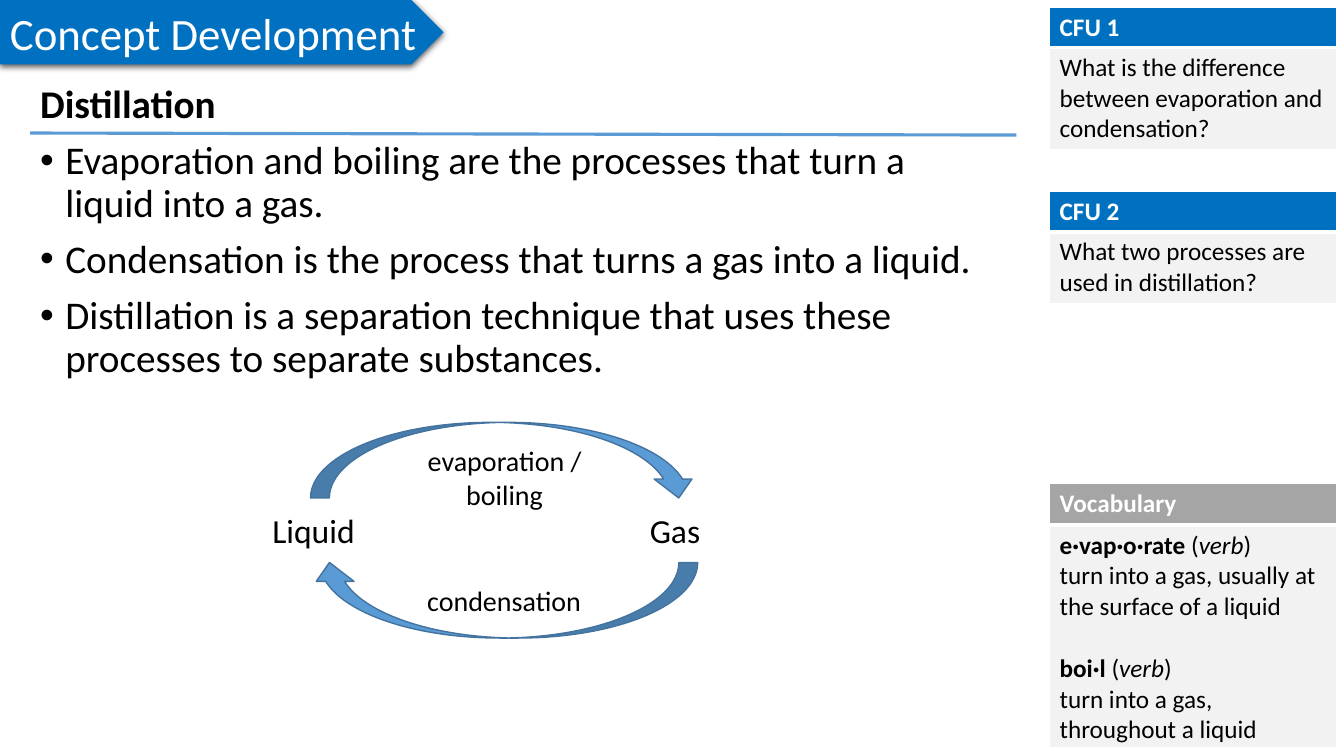
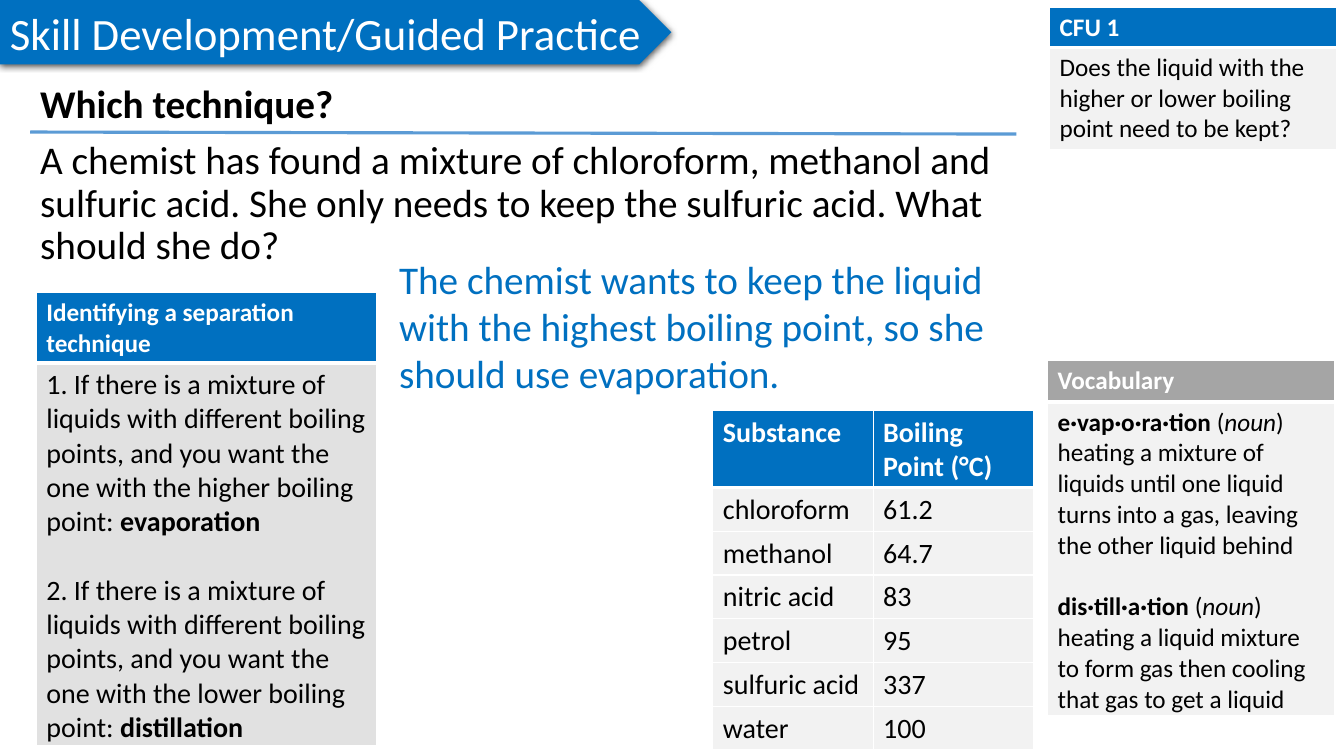
from dataclasses import dataclass, field

from lxml import etree
from pptx import Presentation
from pptx import util as u
from pptx.dml.color import RGBColor
from pptx.enum import shapes, text
from pptx.oxml import ns

PX = 9144  # EMU per px: 100 px make one inch
FONT = "Calibri"
COLORS = {
    "blue": "0070C0", "arrow": "5B9BD5", "outline": "43739E",
    "gray": "A5A5A5", "pale": "F2F2F2", "silver": "E1E1E1",
    "white": "FFFFFF", "black": "000000",
}
SIDE_X, SIDE_W = 1041, 285
CONTENT_X = 30


@dataclass
class Run:
    text: str
    bold: bool = False
    italic: bool = False


@dataclass
class Para:
    runs: list[Run]
    before: float = 0
    bullet: bool = False


@dataclass
class Style:
    size: int
    color: str = "black"
    bold: bool = False
    center: bool = False
    spacing: float | None = None


@dataclass
class Panel:
    """A one-column table: a coloured heading over a box of text."""
    heading: str
    paras: list[Para]
    y: int
    head_h: int
    body_h: int
    x: int = SIDE_X
    w: int = SIDE_W
    size: int = 18
    head_fill: str = "blue"
    body_fill: str = "pale"


@dataclass
class Label:
    text: str
    box: tuple[int, int, int, int]
    style: Style


@dataclass
class Lesson:
    band: str
    band_w: int
    body: list[Para]
    body_w: int
    body_h: int
    rule_y: int
    panels: list[Panel]
    labels: list[Label] = field(default_factory=list)


# Helpers
def px(*values: int) -> list[u.Emu]:
    return [u.Emu(v * PX) for v in values]


def rgb(name: str) -> RGBColor:
    return RGBColor.from_string(COLORS[name])


def plain(words: str, before: float = 0, bullet: bool = False, bold: bool = False) -> Para:
    return Para([Run(words, bold)], before, bullet)


def add(parent, tag: str, **attrs):
    return etree.SubElement(parent, ns.qn(tag), {k: str(v) for k, v in attrs.items()})


def write(tf, paras: list[Para], style: Style) -> None:
    for i, para in enumerate(paras):
        p = tf.paragraphs[0] if i == 0 else tf.add_paragraph()
        if para.bullet:
            pPr = p._p.get_or_add_pPr()
            pPr.set("marL", "228600")
            pPr.set("indent", "-228600")
            add(pPr, "a:buFont", typeface="Arial")
            add(pPr, "a:buChar", char="•")
        p.alignment = text.PP_ALIGN.CENTER if style.center else text.PP_ALIGN.LEFT
        if style.spacing:
            p.line_spacing = style.spacing
        p.space_before = u.Pt(para.before)
        for run in para.runs:
            r = p.add_run()
            r.text = run.text
            r.font.name = FONT
            r.font.size = u.Pt(style.size)
            r.font.color.rgb = rgb(style.color)
            r.font.bold = run.bold or style.bold
            r.font.italic = run.italic


def textbox(s, box: tuple[int, int, int, int], paras: list[Para], style: Style) -> None:
    tf = s.shapes.add_textbox(*px(*box)).text_frame
    tf.word_wrap = True
    write(tf, paras, style)


def style_cell(cell, fill: str, top: int, bottom: int) -> None:
    cell.fill.solid()
    cell.fill.fore_color.rgb = rgb(fill)
    tcPr = cell._tc.get_or_add_tcPr()
    widths = {"a:lnL": 1, "a:lnR": 1, "a:lnT": top, "a:lnB": bottom}
    for i, (tag, width) in enumerate(widths.items()):
        ln = add(tcPr, tag, w=u.Pt(width))
        add(add(ln, "a:solidFill"), "a:srgbClr", val=COLORS["white"])
        tcPr.insert(i, ln)


def table(s, x: int, y: int, widths: list[int], heights: list[int],
          rows: list[list[list[Para]]], size: int, head_fill: str, body_fill: str) -> None:
    frame = s.shapes.add_table(len(heights), len(widths),
                               *px(x, y, sum(widths), sum(heights)))
    tbl = frame.table
    for col, w in zip(tbl.columns, px(*widths)):
        col.width = w
    for i, (row, h) in enumerate(zip(tbl.rows, px(*heights))):
        row.height = h
        head = i == 0
        for cell, paras in zip(row.cells, rows[i]):
            style_cell(cell, head_fill if head else body_fill,
                       top=3 if i == 1 else 1, bottom=3 if head else 1)
            write(cell.text_frame, paras,
                  Style(size, "white" if head else "black", bold=head))


def panel(s, item: Panel) -> None:
    if item.size == 18:
        rows = [[[plain(item.heading)]], [item.paras]]
        table(s, item.x, item.y, [item.w], [item.head_h, item.body_h], rows,
              18, item.head_fill, item.body_fill)
        return
    rows = [[[plain(item.heading)]], [item.paras]]
    table(s, item.x, item.y, [item.w], [item.head_h, item.body_h], rows,
          item.size, item.head_fill, item.body_fill)
    heading = s.shapes[-1].table.cell(0, 0).text_frame
    for r in heading.paragraphs[0].runs:
        r.font.size = u.Pt(18)


def vocabulary(y: int, body_h: int, entries: list[tuple[str, str, str]],
               x: int = SIDE_X) -> Panel:
    paras = []
    for i, (term, kind, meaning) in enumerate(entries):
        paras.append(Para([Run(term, bold=True), Run(" ("), Run(kind, italic=True), Run(")")],
                          before=22 if i else 0))
        paras.append(plain(meaning))
    return Panel("Vocabulary", paras, y, 41, body_h, x=x, head_fill="gray")


def cfu(number: int, question: str, y: int, body_h: int) -> Panel:
    return Panel(f"CFU {number}", [plain(question)], y, 39, body_h)


def band(s, title: str, w: int) -> None:
    sp = s.shapes.add_shape(shapes.MSO_SHAPE.PENTAGON, *px(0, 0, w, 64))
    sp.fill.solid()
    sp.fill.fore_color.rgb = rgb("blue")
    sp.line.fill.background()
    sp.shadow.inherit = False
    effects = sp._element.spPr.find(ns.qn("a:effectLst"))
    shadow = add(effects, "a:outerShdw", blurRad=57150, dist=19050, dir=5400000,
                 algn="ctr", rotWithShape=0)
    add(add(shadow, "a:srgbClr", val=COLORS["black"]), "a:alpha", val=63000)
    tf = sp.text_frame
    tf.word_wrap = False
    tf.vertical_anchor = text.MSO_ANCHOR.MIDDLE
    write(tf, [plain(title)], Style(32, "white"))


def rule(s, y: int) -> None:
    line = s.shapes.add_connector(shapes.MSO_CONNECTOR.STRAIGHT,
                                  *px(CONTENT_X, y, 1008, y + 2))
    line.line.color.rgb = rgb("arrow")
    line.line.width = u.Pt(2.25)
    add(line._element.spPr, "a:effectLst")


def cycle_arrow(s, y: int, rotation: int) -> None:
    sp = s.shapes.add_shape(shapes.MSO_SHAPE.CURVED_DOWN_ARROW, *px(308, y, 384, 75))
    sp.rotation = rotation
    sp.shadow.inherit = False
    sp.fill.solid()
    sp.fill.fore_color.rgb = rgb("arrow")
    sp.line.color.rgb = rgb("outline")
    sp.line.width = u.Pt(1)


def draw(prs, lesson: Lesson):
    s = prs.slides.add_slide(prs.slide_layouts[6])
    band(s, lesson.band, lesson.band_w)
    textbox(s, (CONTENT_X, 79, lesson.body_w, lesson.body_h), lesson.body,
            Style(28, spacing=0.9))
    rule(s, lesson.rule_y)
    for item in lesson.panels:
        panel(s, item)
    for label in lesson.labels:
        textbox(s, label.box, [plain(label.text)], label.style)
    return s


# Content
STATE = Style(24, center=True)
PROCESS = Style(20, center=True)

CONCEPT = Lesson(
    "Concept Development", 440,
    [plain("Distillation", bold=True)] + [plain(words, 10, bullet=True) for words in (
        "Evaporation and boiling are the processes that turn a liquid into a gas.",
        "Condensation is the process that turns a gas into a liquid.",
        "Distillation is a separation technique that uses these processes to separate "
        "substances.")],
    964, 610, 132,
    [cfu(1, "What is the difference between evaporation and condensation?", 7, 101),
     cfu(2, "What two processes are used in distillation?", 190, 71),
     vocabulary(480, 220, [
         ("e·vap·o·rate", "verb", "turn into a gas, usually at the surface of a liquid"),
         ("boi·l", "verb", "turn into a gas, throughout a liquid")])],
    [Label("Liquid", (249, 501, 124, 50), STATE),
     Label("Gas", (621, 501, 97, 50), STATE),
     Label("evaporation / boiling", (392, 435, 217, 77), PROCESS),
     Label("condensation", (382, 574, 236, 44), PROCESS)],
)

CHOICE = ("If there is a mixture of liquids with different boiling points, "
          "and you want the one with the {} boiling point: ")
STEPS = [Para([Run(f"{i + 1}. " + CHOICE.format(level)), Run(method, bold=True)],
              before=24.4 * i)
         for i, (level, method) in enumerate([("higher", "evaporation"),
                                              ("lower", "distillation")])]

PRACTICE = Lesson(
    "Skill Development/Guided Practice", 666,
    [plain("Which technique?", bold=True),
     plain("A chemist has found a mixture of chloroform, methanol and sulfuric acid. "
           "She only needs to keep the sulfuric acid. What should she do?", 10)],
    998, 197, 131,
    [cfu(1, "Does the liquid with the higher or lower boiling point need to be kept?", 7, 101),
     Panel("Identifying a separation technique", STEPS, 290, 67, 380,
           x=36, w=338, size=20, body_fill="silver"),
     vocabulary(358, 310, [
         ("e·vap·o·ra·tion", "noun", "heating a mixture of liquids until one liquid "
          "turns into a gas, leaving the other liquid behind"),
         ("dis·till·a·tion", "noun", "heating a liquid mixture to form gas then cooling "
          "that gas to get a liquid")], x=1039)],
    [Label("The chemist wants to keep the liquid with the highest boiling point, "
           "so she should use evaporation.", (386, 248, 642, 151), Style(28, "blue"))],
)

BOILING_POINTS = [
    ("Substance", "Boiling Point (°C)"),
    ("chloroform", "61.2"), ("methanol", "64.7"), ("nitric acid", "83"),
    ("petrol", "95"), ("sulfuric acid", "337"), ("water", "100"),
]


def main() -> None:
    prs = Presentation()
    prs.slide_width, prs.slide_height = px(1333, 750)

    # Concept slide with its cycle of arrows
    s = draw(prs, CONCEPT)
    for y, rotation in ((419, 0), (558, 180)):
        cycle_arrow(s, y, rotation)

    # Practice slide with its boiling points
    s = draw(prs, PRACTICE)
    rows = [[[plain(value)] for value in row] for row in BOILING_POINTS]
    table(s, 707, 407, [159, 159], [76] + [43] * (len(rows) - 1), rows,
          20, "blue", "pale")

    prs.save("out.pptx")


if __name__ == "__main__":
    main()
